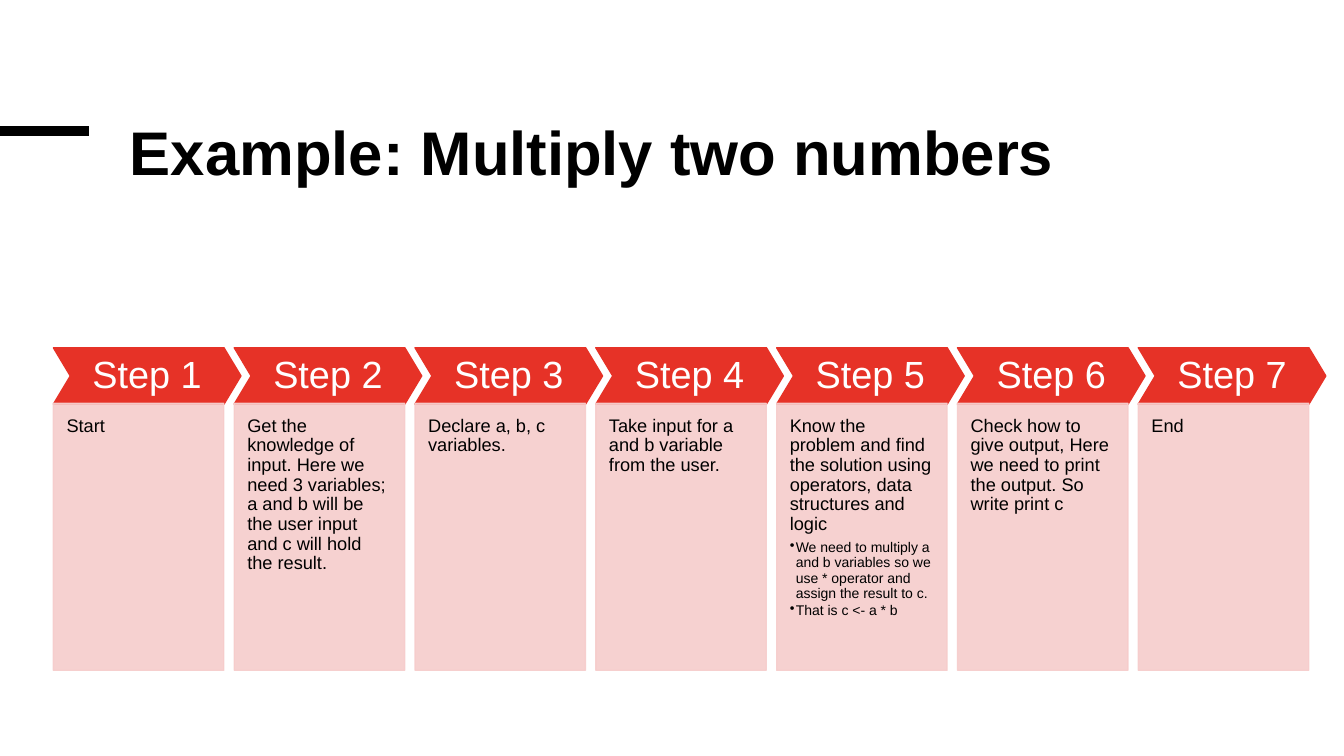
from lxml.etree import SubElement
from pptx import Presentation
from pptx.dml.color import RGBColor
from pptx.enum.shapes import MSO_CONNECTOR, MSO_SHAPE
from pptx.enum.text import MSO_ANCHOR, PP_ALIGN
from pptx.oxml.ns import qn
from pptx.util import Pt

TITLE = "Example: Multiply two numbers"
STEPS = [
    ["Start"],
    ["Get the knowledge of input. Here we need 3 variables; a and b will be "
     "the user input and c will hold the result."],
    ["Declare a, b, c variables."],
    ["Take input for a and b variable from the user."],
    ["Know the problem and find the solution using operators, data "
     "structures and logic",
     "We need to multiply a and b variables so we use * operator and assign "
     "the result to c.",
     "That is c <- a * b"],
    ["Check how to give output, Here we need to print the output. "
     "So write print c"],
    ["End"],
]
COLORS = {"black": "000000", "white": "FFFFFF", "red": "E63227", "pink": "F6CCCB"}
FONTS = {
    "title": {"size": Pt(44), "bold": True, "color": "black"},
    "head": {"size": Pt(27), "color": "white"},
    "body": {"size": Pt(13), "color": "black"},
    "point": {"size": Pt(10), "color": "black"},
}
PX = 9144  # 100 px to the inch
LEFT, LAST = 53, 1129
HEAD_TOP, HEAD_W, HEAD_H = 345, 186, 56
BODY_TOP, BODY_W, BODY_H = 400, 169, 265
PITCH = (LAST - LEFT) / (len(STEPS) - 1)


def px(*sizes):
    return [round(size * PX) for size in sizes]


def rgb(name):
    return RGBColor.from_string(COLORS[name])


def setup(frame, insets, anchor=MSO_ANCHOR.TOP):
    frame.word_wrap = True
    frame.vertical_anchor = anchor
    for side, size in zip(("left", "top", "right", "bottom"), px(*insets)):
        setattr(frame, "margin_" + side, size)


def write(para, text, style, spacing=0.9, align=PP_ALIGN.LEFT):
    para.alignment = align
    para.line_spacing = spacing
    run = para.add_run()
    run.text = text
    run.font.name = "Arial"
    for key, value in FONTS[style].items():
        if key == "color":
            run.font.color.rgb = rgb(value)
        else:
            setattr(run.font, key, value)


def bullet(para):
    para.level = 1
    props = para._p.get_or_add_pPr()
    indent, = px(6)
    props.set("marL", str(indent))
    props.set("indent", str(-indent))
    SubElement(props, qn("a:buChar"), char="•")


def block(slide, kind, box, color, alpha=None):
    shape = slide.shapes.add_shape(kind, *px(*box))
    shape.shadow.inherit = False
    shape.fill.solid()
    shape.line.width = Pt(1)
    for fill in (shape.fill.fore_color, shape.line.color):
        fill.rgb = rgb(color)
    if alpha:
        for tint in shape._element.spPr.iter(qn("a:srgbClr")):
            SubElement(tint, qn("a:alpha"), val=str(alpha * 1000))
    return shape


def add_title(slide):
    rule = slide.shapes.add_connector(MSO_CONNECTOR.STRAIGHT, *px(0, 130, 88, 130))
    rule.line.color.rgb = rgb("black")
    rule.line.width = Pt(6.75)
    SubElement(rule._element.spPr, qn("a:effectLst"))
    frame = slide.shapes.add_textbox(*px(119, 119, 1085, 86)).text_frame
    setup(frame, (10, 5, 10, 5))
    write(frame.paragraphs[0], TITLE, "title", 0.85)


def add_step(slide, index, texts):
    left = LEFT + index * PITCH
    head = block(slide, MSO_SHAPE.CHEVRON, (left, HEAD_TOP, HEAD_W, HEAD_H), "red")
    head.adjustments[0] = 0.3
    setup(head.text_frame, (7, 7, 7, 7), MSO_ANCHOR.MIDDLE)
    write(head.text_frame.paragraphs[0], f"Step {index + 1}", "head",
          align=PP_ALIGN.CENTER)

    body = block(slide, MSO_SHAPE.RECTANGLE, (left, BODY_TOP, BODY_W, BODY_H),
                 "pink", 90)
    frame = body.text_frame
    setup(frame, (13, 13, 13, 27))
    lead, *points = texts
    write(frame.paragraphs[0], lead, "body")
    for rank, point in enumerate(points):
        para = frame.add_paragraph()
        para.space_before = Pt(1.5 if rank else 4.5)
        para.line_spacing = 0.9
        bullet(para)
        write(para, point, "point")


def main():
    deck = Presentation()
    deck.slide_width, deck.slide_height = px(1333, 750)
    slide = deck.slides.add_slide(deck.slide_layouts[6])
    add_title(slide)
    for index, texts in enumerate(STEPS):
        add_step(slide, index, texts)
    deck.save("out.pptx")


if __name__ == "__main__":
    main()
